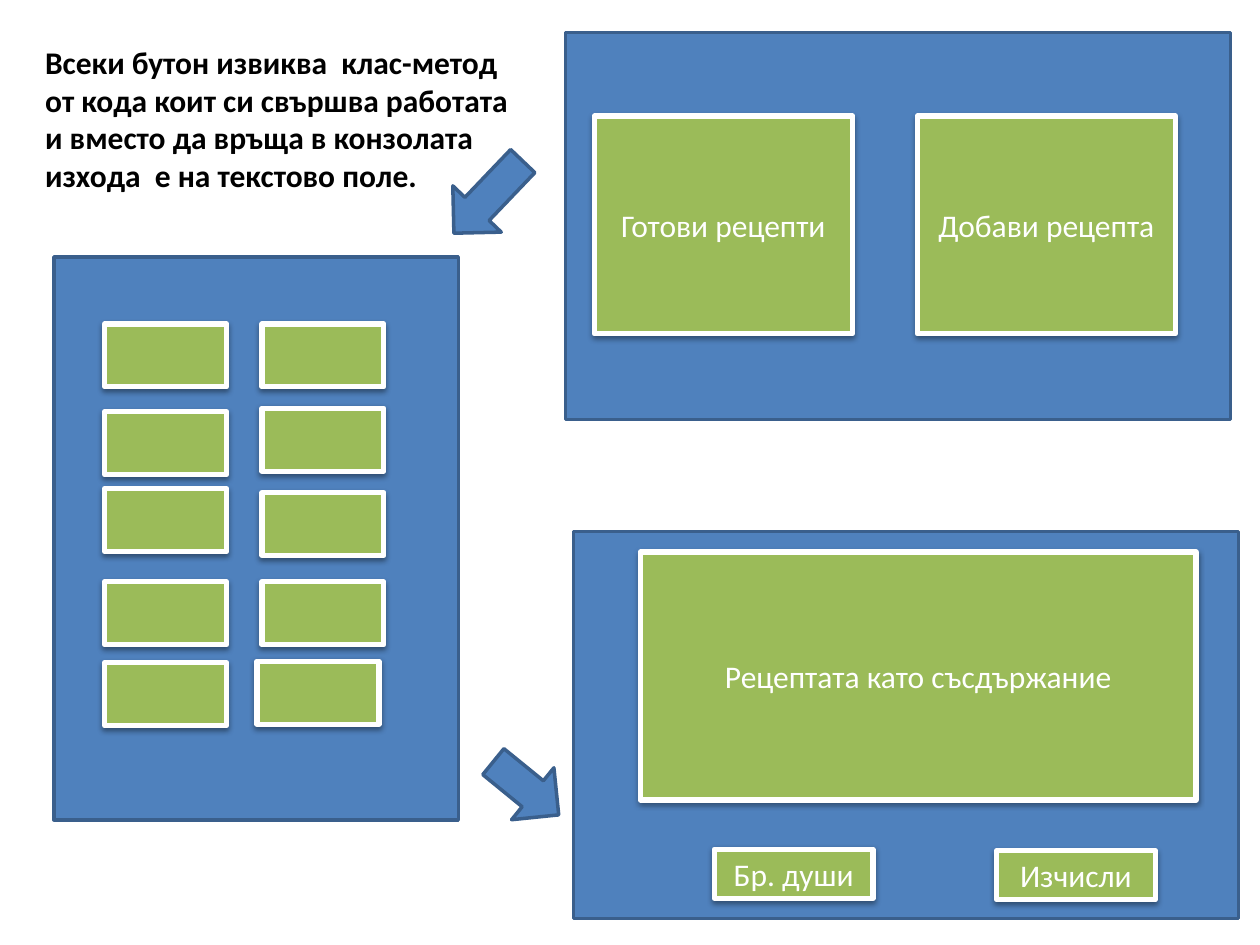
from dataclasses import dataclass

from lxml import etree
from pptx import Presentation
from pptx.dml.color import RGBColor
from pptx.enum.shapes import MSO_SHAPE
from pptx.enum.text import MSO_ANCHOR, MSO_AUTO_SIZE, PP_ALIGN
from pptx.oxml.ns import qn
from pptx.util import Cm, Pt

RECTANGLE = MSO_SHAPE.RECTANGLE
DOWN_ARROW = MSO_SHAPE.DOWN_ARROW
MIDDLE = MSO_ANCHOR.MIDDLE
FIT_SHAPE = MSO_AUTO_SIZE.SHAPE_TO_FIT_TEXT
CENTER = PP_ALIGN.CENTER
BLANK_LAYOUT = 6


@dataclass(frozen=True)
class Theme:
    panel: RGBColor = RGBColor(0x4F, 0x81, 0xBD)
    panel_line: RGBColor = RGBColor(0x3A, 0x5F, 0x8C)
    button: RGBColor = RGBColor(0x9B, 0xBB, 0x59)
    light: RGBColor = RGBColor(0xFF, 0xFF, 0xFF)
    dark: RGBColor = RGBColor(0x00, 0x00, 0x00)
    font: str = "Calibri"
    text_size: Pt = Pt(18)
    panel_line_width: Pt = Pt(2)
    button_line_width: Pt = Pt(3)


THEME = Theme()


# Shared parts: every box is (left, top, width, height) in centimetres
def add_filled(slide, kind, box, fill, line, line_width):
    shape = slide.shapes.add_shape(kind, *map(Cm, box))
    shape.fill.solid()
    shape.fill.fore_color.rgb = fill
    shape.line.color.rgb = line
    shape.line.width = line_width
    shape.shadow.inherit = False
    return shape


def add_blue(slide, kind, box):
    return add_filled(slide, kind, box, THEME.panel, THEME.panel_line,
                      THEME.panel_line_width)


def add_shadow(shape):
    effects = shape.element.spPr.find(qn("a:effectLst"))
    shadow = etree.SubElement(effects, qn("a:outerShdw"), blurRad="40000",
                              dist="20000", dir="5400000", rotWithShape="0")
    color = etree.SubElement(shadow, qn("a:srgbClr"), val=str(THEME.dark))
    etree.SubElement(color, qn("a:alpha"), val="38000")


def style_text(paragraph, color, bold=False):
    paragraph.font.name = THEME.font
    paragraph.font.size = THEME.text_size
    paragraph.font.bold = bold
    paragraph.font.color.rgb = color


def add_button(slide, panel_box, offset, size, label=""):
    box = (panel_box[0] + offset[0], panel_box[1] + offset[1], *size)
    button = add_filled(slide, RECTANGLE, box, THEME.button, THEME.light,
                        THEME.button_line_width)
    add_shadow(button)
    if label:
        frame = button.text_frame
        frame.word_wrap = True
        frame.vertical_anchor = MIDDLE
        paragraph = frame.paragraphs[0]
        paragraph.text = label
        paragraph.alignment = CENTER
        style_text(paragraph, THEME.light)


def add_arrow(slide, box, rotation):
    add_blue(slide, DOWN_ARROW, box).rotation = rotation


# Start screen: two large choices
def add_start_screen(slide, box):
    add_blue(slide, RECTANGLE, box)
    for left, label in ((0.58, "Готови рецепти"), (7.09, "Добави рецепта")):
        add_button(slide, box, (left, 1.68), (5.21, 4.39), label)


# Recipe screen: content above two small controls
def add_recipe_screen(slide, box):
    add_blue(slide, RECTANGLE, box)
    add_button(slide, box, (1.35, 0.41), (11.2, 5), "Рецептата като съсдържание")
    for offset, label in (((2.84, 6.4), "Бр. души"), ((8.53, 6.43), "Изчисли")):
        add_button(slide, box, offset, (3.2, 0.99), label)


# Recipe list: two hand-placed columns of unlabelled buttons
def add_recipe_list(slide, box):
    add_blue(slide, RECTANGLE, box)
    left_column = [(1.02, top) for top in (1.35, 3.12, 4.67, 6.55, 8.18)]
    right_column = [(4.19, top) for top in (1.35, 3.05, 4.75, 6.55)]
    for offset in left_column + right_column + [(4.09, 8.15)]:
        add_button(slide, box, offset, (2.46, 1.27))


# Explanatory note
def add_note(slide, box):
    lines = (
        "Всеки бутон извиква  клас-метод",
        "от кода коит си свършва работата",
        "и вместо да връща в конзолата",
        "изхода  е на текстово поле.",
    )
    frame = slide.shapes.add_textbox(*map(Cm, box)).text_frame
    frame.word_wrap = False
    frame.auto_size = FIT_SHAPE
    frame.text = "\n".join(lines)
    for paragraph in frame.paragraphs:
        style_text(paragraph, THEME.dark, bold=True)


def main():
    presentation = Presentation()
    presentation.slide_width = Cm(25.4)
    presentation.slide_height = Cm(19.05)
    slide = presentation.slides.add_slide(presentation.slide_layouts[BLANK_LAYOUT])

    add_start_screen(slide, (11.4, 0.66, 13.41, 7.8))
    add_arrow(slide, (9.17, 2.97, 1.35, 2.01), 43.7)
    add_recipe_screen(slide, (11.56, 10.72, 13.41, 7.8))
    add_note(slide, (0.66, 0.74, 10.06, 3.33))
    add_recipe_list(slide, (1.09, 5.18, 8.15, 11.35))
    add_arrow(slide, (9.93, 15.04, 1.35, 1.7), 309.2)

    presentation.save("out.pptx")


if __name__ == "__main__":
    main()
